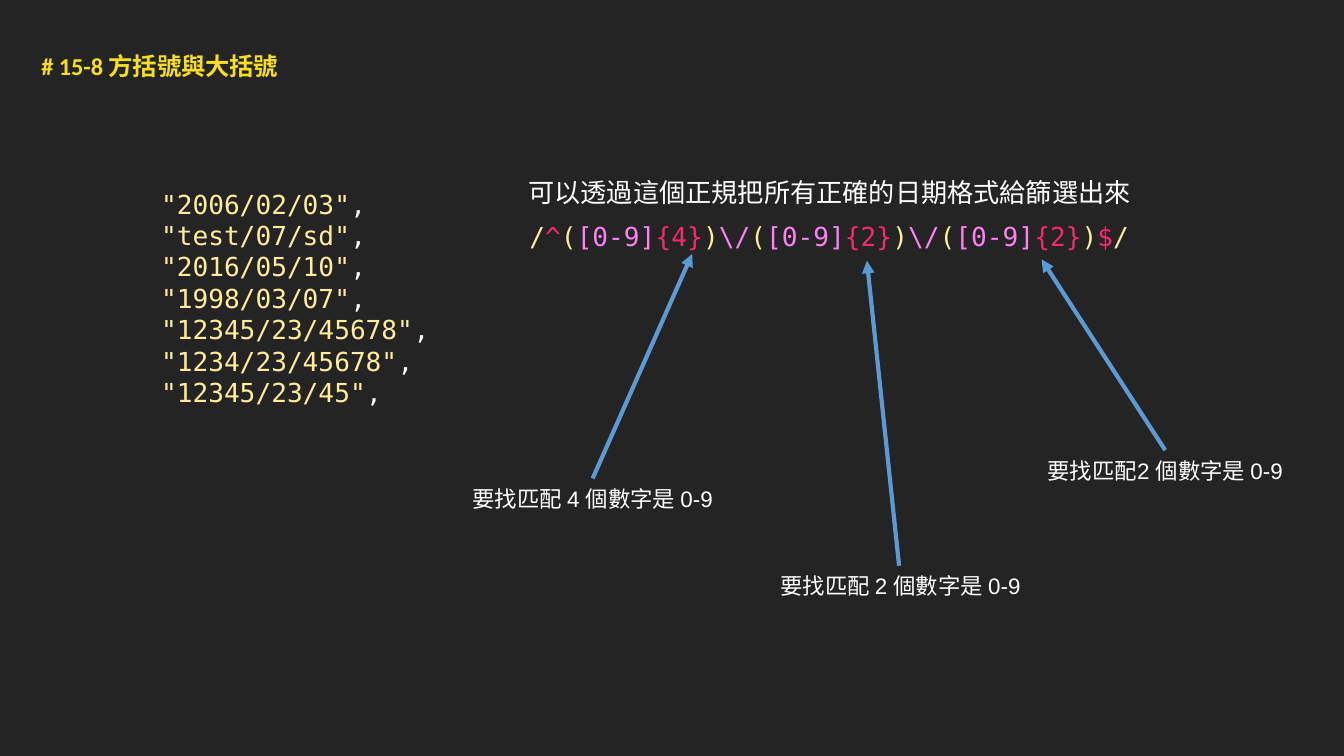
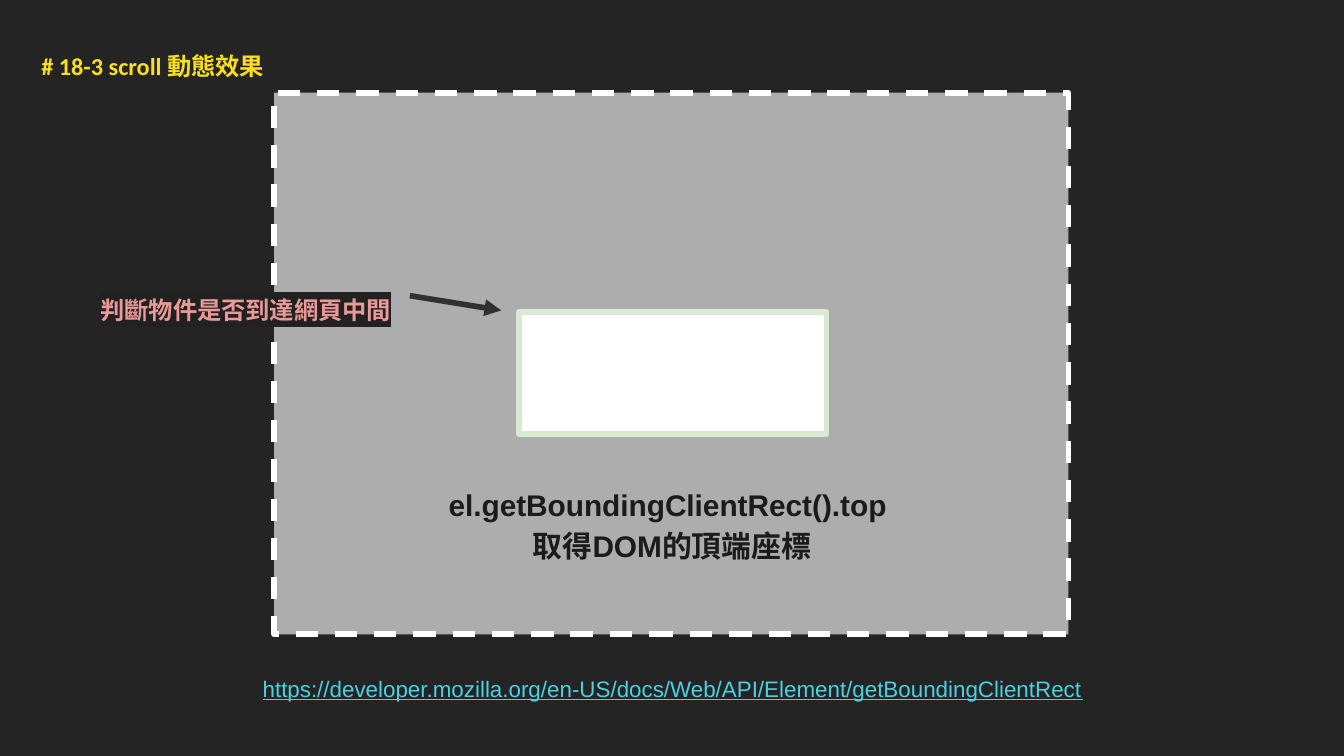
from dataclasses import dataclass
from typing import NamedTuple

from lxml.etree import SubElement
from pptx import Presentation
from pptx.dml.color import RGBColor
from pptx.enum.dml import MSO_LINE
from pptx.enum.shapes import MSO_CONNECTOR, MSO_SHAPE
from pptx.enum.text import MSO_ANCHOR, MSO_AUTO_SIZE, PP_ALIGN
from pptx.oxml.ns import qn
from pptx.slide import Slide
from pptx.util import Inches, Pt


# Theme
@dataclass(frozen=True)
class Theme:
    background: str = "242424"
    title: str = "F7DF1E"
    white: str = "FFFFFF"
    string: str = "FFEE99"
    comma: str = "F8F8F2"
    quantifier: str = "F92672"
    char_class: str = "FF80F4"
    pointer: str = "5B9BD5"
    page: str = "ADADAD"
    element_edge: str = "D9EAD3"
    note: str = "EA9999"
    note_back: str = "212121"
    dark_arrow: str = "303030"
    method: str = "1B1B1B"
    url: str = "4DD0E1"
    heading_font: str = "Calibri"
    body_font: str = "Arial"
    code_font: str = "DejaVu Sans Mono"
    label_size: int = 12
    heading_size: int = 13
    code_size: int = 14
    method_size: int = 16


THEME = Theme()


class Box(NamedTuple):
    left: float
    top: float
    width: float
    height: float


class Style(NamedTuple):
    font: str
    size: int
    bold: bool = False
    underline: bool = False
    highlight: str = ""
    align: PP_ALIGN = PP_ALIGN.CENTER
    spacing: float = 1.0
    inset: float = 0.05
    grow: bool = False
    anchor: MSO_ANCHOR = MSO_ANCHOR.TOP


class Token(NamedTuple):
    text: str
    color: str


class Arrow(NamedTuple):
    start: tuple[float, float]
    end: tuple[float, float]
    color: str
    width: float


class Callout(NamedTuple):
    text: str
    box: Box
    arrow: Arrow


HEADING = Style(THEME.heading_font, THEME.heading_size, bold=True, highlight=THEME.background,
                align=PP_ALIGN.LEFT, spacing=1.5, inset=0.1, grow=True)
NOTE = HEADING._replace(highlight=THEME.note_back)
CODE = Style(THEME.code_font, THEME.code_size)
INTRO = Style(THEME.body_font, THEME.code_size)
LABEL = Style(THEME.body_font, THEME.label_size)
METHOD = Style(THEME.body_font, THEME.method_size, bold=True, spacing=1.15, inset=0.1, grow=True)
URL = LABEL._replace(underline=True, inset=0.1, anchor=MSO_ANCHOR.MIDDLE)


# Drawing helpers
def rgb(color: str) -> RGBColor:
    return RGBColor.from_string(color)


def add_text(s: Slide, box: Box, style: Style, lines: list[list[Token]],
             soft_breaks: bool = False) -> None:
    """Draw each line as a paragraph, or all in one paragraph with line breaks."""
    tf = s.shapes.add_textbox(*map(Inches, box)).text_frame
    tf.word_wrap = True
    tf.auto_size = MSO_AUTO_SIZE.SHAPE_TO_FIT_TEXT if style.grow else MSO_AUTO_SIZE.NONE
    tf.vertical_anchor = style.anchor
    tf.margin_left = tf.margin_right = Inches(0.1)
    tf.margin_top = tf.margin_bottom = Inches(style.inset)
    p = tf.paragraphs[0]
    for i, line in enumerate(lines):
        if i and soft_breaks:
            p.add_line_break()
        elif i:
            p = tf.add_paragraph()
        p.alignment = style.align
        p.line_spacing = style.spacing
        for token in line:
            r = p.add_run()
            r.text = token.text
            if style.highlight:
                mark = SubElement(r.font._element, qn("a:highlight"))
                SubElement(mark, qn("a:srgbClr")).set("val", style.highlight)
            r.font.name = style.font
            r.font.size = Pt(style.size)
            r.font.bold = style.bold
            r.font.underline = style.underline
            r.font.color.rgb = rgb(token.color)


def add_arrow(s: Slide, arrow: Arrow) -> None:
    sp = s.shapes.add_connector(MSO_CONNECTOR.STRAIGHT, *map(Inches, arrow.start + arrow.end))
    sp.line.color.rgb = rgb(arrow.color)
    sp.line.width = Pt(arrow.width)
    SubElement(sp.line._get_or_add_ln(), qn("a:tailEnd")).set("type", "triangle")
    SubElement(sp._element.spPr, qn("a:effectLst"))


def add_frame(s: Slide, box: Box, fill: str, edge: str, dash: MSO_LINE = MSO_LINE.SOLID) -> None:
    sp = s.shapes.add_shape(MSO_SHAPE.RECTANGLE, *map(Inches, box))
    sp.shadow.inherit = False
    sp.fill.solid()
    sp.fill.fore_color.rgb = rgb(fill)
    sp.line.color.rgb = rgb(edge)
    sp.line.width = Pt(3)
    sp.line.dash_style = dash
    SubElement(sp.line._get_or_add_ln(), qn("a:round"))


def new_slide(prs: Presentation, title: str) -> Slide:
    s = prs.slides.add_slide(prs.slide_layouts[6])
    s.background.fill.solid()
    s.background.fill.fore_color.rgb = rgb(THEME.background)
    add_text(s, Box(0.21, 0.17, 4.79, 0.42), HEADING, [[Token(title, THEME.title)]])
    return s


# Slide 1: brackets and braces in a regular expression
DATES = ["2006/02/03", "test/07/sd", "2016/05/10", "1998/03/07",
         "12345/23/45678", "1234/23/45678", "12345/23/45"]

CALLOUTS = [
    Callout("要找匹配 4 個數字是 0-9", Box(3.32, 3.56, 2.18, 0.3),
            Arrow((4.41, 3.56), (5.15, 1.89), THEME.pointer, 2.25)),
    Callout("要找匹配 2 個數字是 0-9", Box(5.53, 4.21, 2.34, 0.3),
            Arrow((6.69, 4.21), (6.45, 1.94), THEME.pointer, 2.25)),
    Callout("要找匹配2 個數字是 0-9", Box(7.5, 3.35, 2.34, 0.3),
            Arrow((8.67, 3.35), (7.75, 1.93), THEME.pointer, 2.25)),
]


def date_pattern(digit_counts: list[int]) -> list[Token]:
    tokens = [Token("/", THEME.string), Token("^", THEME.quantifier)]
    for i, count in enumerate(digit_counts):
        if i:
            tokens.append(Token(r"\/", THEME.char_class))
        tokens += [Token("(", THEME.string), Token("[0-9]", THEME.char_class),
                   Token(f"{{{count}}}", THEME.quantifier), Token(")", THEME.string)]
    return tokens + [Token("$", THEME.quantifier), Token("/", THEME.string)]


def build_regex_slide(prs: Presentation) -> None:
    s = new_slide(prs, "# 15-8 方括號與大括號")
    add_text(s, Box(1.1, 1.35, 2.22, 1.7), CODE._replace(align=PP_ALIGN.LEFT),
             [[Token(f'"{date}"', THEME.string), Token(",", THEME.comma)] for date in DATES])
    add_text(s, Box(3.5, 1.59, 5.34, 0.44), CODE, [date_pattern([4, 2, 2])])
    add_text(s, Box(3.34, 1.26, 5.67, 0.34), INTRO,
             [[Token("可以透過這個正規把所有正確的日期格式給篩選出來", THEME.white)]])
    for callout in CALLOUTS:
        add_text(s, callout.box, LABEL, [[Token(callout.text, THEME.white)]])
        add_arrow(s, callout.arrow)


# Slide 2: scroll position of an element
def build_scroll_slide(prs: Presentation) -> None:
    s = new_slide(prs, "# 18-3 scroll 動態效果")
    add_frame(s, Box(2.04, 0.69, 5.91, 4.03), THEME.page, THEME.white, MSO_LINE.DASH)
    add_frame(s, Box(3.86, 2.32, 2.29, 0.91), THEME.white, THEME.element_edge)
    add_text(s, Box(0.65, 1.99, 2.4, 0.42), NOTE,
             [[Token("判斷物件是否到達網頁中間", THEME.note)]])
    add_arrow(s, Arrow((3.05, 2.2), (3.73, 2.31), THEME.dark_arrow, 3))
    add_text(s, Box(3.1, 3.48, 3.8, 0.78), METHOD,
             [[Token("el.getBoundingClientRect().top ", THEME.method)],
              [Token("取得DOM的頂端座標", THEME.method)]], soft_breaks=True)
    add_text(s, Box(1.11, 4.92, 7.79, 0.4), URL, [[Token(
        "https://developer.mozilla.org/en-US/docs/Web/API/Element/getBoundingClientRect",
        THEME.url)]])


def main() -> None:
    prs = Presentation()
    # Widescreen, 16 by 9
    prs.slide_width = Inches(10)
    prs.slide_height = Inches(10 * 9 / 16)
    build_regex_slide(prs)
    build_scroll_slide(prs)
    prs.save("out.pptx")


if __name__ == "__main__":
    main()
